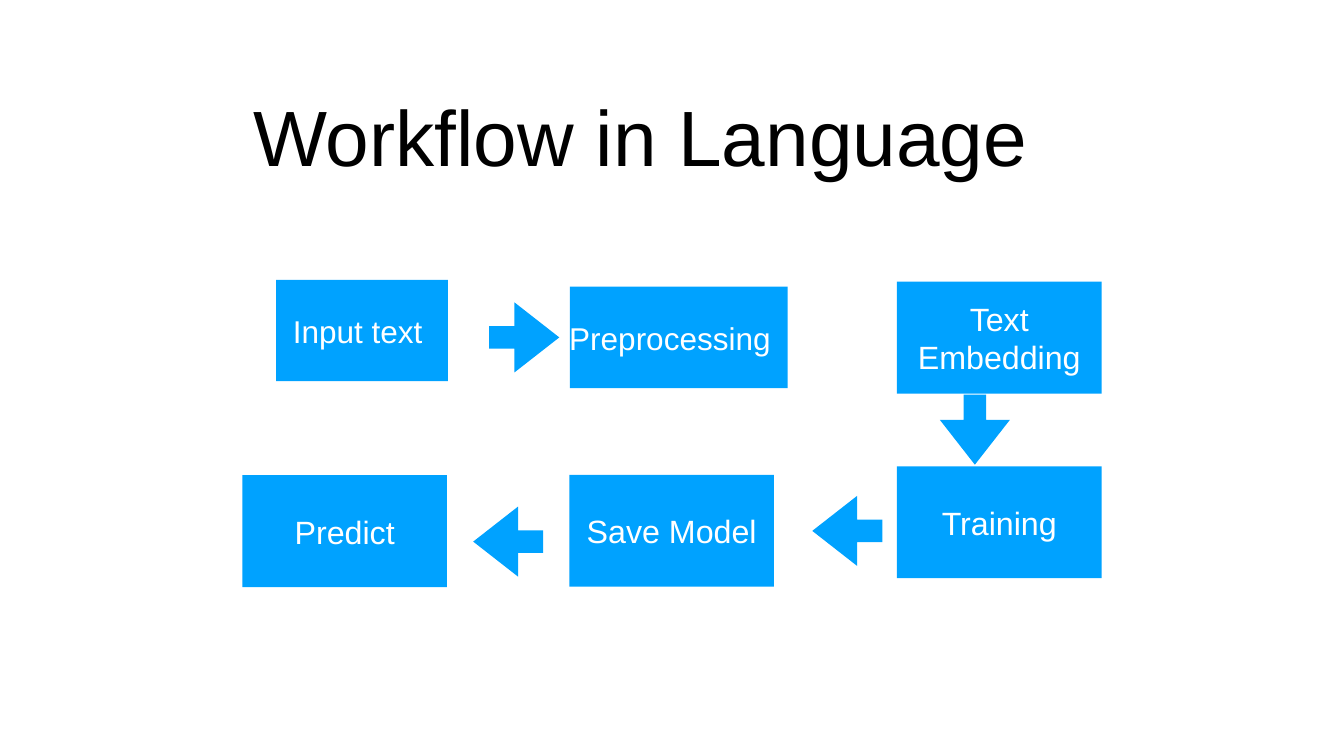
from pptx import Presentation
from pptx.dml.color import RGBColor
from pptx.enum.shapes import MSO_SHAPE as Shape
from pptx.enum.text import MSO_ANCHOR as Anchor, MSO_AUTO_SIZE as AutoSize, PP_ALIGN as Align
from pptx.util import Cm, Pt

BLUE = RGBColor(0x00, 0xA2, 0xFF)
WHITE = RGBColor(0xFF, 0xFF, 0xFF)
BLACK = RGBColor(0x00, 0x00, 0x00)

# Content, lengths in cm
TITLE = "Workflow in Language "
SMALL_HEIGHT = 5.11
STEP_SIZE = (10.31, 5.64)
ARROW_SIZE = 3.53
INSET = 0.15

# Step: text, (left, top), (width, height), font size
STEPS = [
    ("", (28.73, 14.45), (10.97, SMALL_HEIGHT), 45),  # its label is a text box
    ("Input text ", (13.92, 14.1), (8.66, SMALL_HEIGHT), 45),
    ("Text Embedding", (45.21, 14.2), STEP_SIZE, 46),
    ("Training", (45.21, 23.5), STEP_SIZE, 46),
    ("Save Model", (28.7, 23.93), STEP_SIZE, 46),
    ("Predict", (12.22, 23.95), STEP_SIZE, 46),
]
PREPROCESSING = ("Preprocessing", (28.53, 15.93), (10.47, 2.18), 45)

# Arrow: (left, top), rotation
ARROWS = [
    ((24.66, 15.24), 0),
    ((47.37, 19.89), 90),
    ((40.94, 24.99), 180),
    ((23.85, 25.53), 180),
]


def write(frame, text, size, color=WHITE, anchor=Anchor.MIDDLE, inset=0, wrap=True):
    frame.margin_left = frame.margin_right = Cm(inset)
    frame.margin_top = frame.margin_bottom = Cm(inset)
    frame.auto_size = AutoSize.NONE
    frame.word_wrap = wrap
    frame.vertical_anchor = anchor
    paragraph = frame.paragraphs[0]
    paragraph.alignment = Align.CENTER
    paragraph.line_spacing = 1.0
    run = paragraph.add_run()
    run.text = text
    run.font.name = "Arial"
    run.font.size = Pt(size)
    run.font.color.rgb = color


def add_blue(slide, kind, place, size):
    shape = slide.shapes.add_shape(kind, *map(Cm, place + size))
    shape.shadow.inherit = False
    shape.fill.solid()
    shape.fill.fore_color.rgb = BLUE
    shape.line.fill.background()
    return shape


def main():
    deck = Presentation()
    deck.slide_width, deck.slide_height = Cm(67.74), Cm(38.1)
    slide = deck.slides.add_slide(deck.slide_layouts[5])

    # Title
    title = slide.shapes.title
    title.left, title.top, title.width, title.height = map(Cm, (3.89, -3.56, 57.86, 12.9))
    write(title.text_frame, TITLE, 112, color=BLACK, anchor=Anchor.BOTTOM, inset=INSET)

    # Steps
    for text, place, size, font_size in STEPS:
        step = add_blue(slide, Shape.RECTANGLE, place, size)
        if text:
            write(step.text_frame, text, font_size)

    text, place, size, font_size = PREPROCESSING
    label = slide.shapes.add_textbox(*map(Cm, place + size))
    write(label.text_frame, text, font_size, inset=INSET, wrap=False)

    # Arrows between steps
    for place, rotation in ARROWS:
        arrow = add_blue(slide, Shape.RIGHT_ARROW, place, (ARROW_SIZE, ARROW_SIZE))
        arrow.adjustments[0] = 0.32
        arrow.adjustments[1] = 0.64
        arrow.rotation = rotation

    deck.save("out.pptx")


if __name__ == "__main__":
    main()
